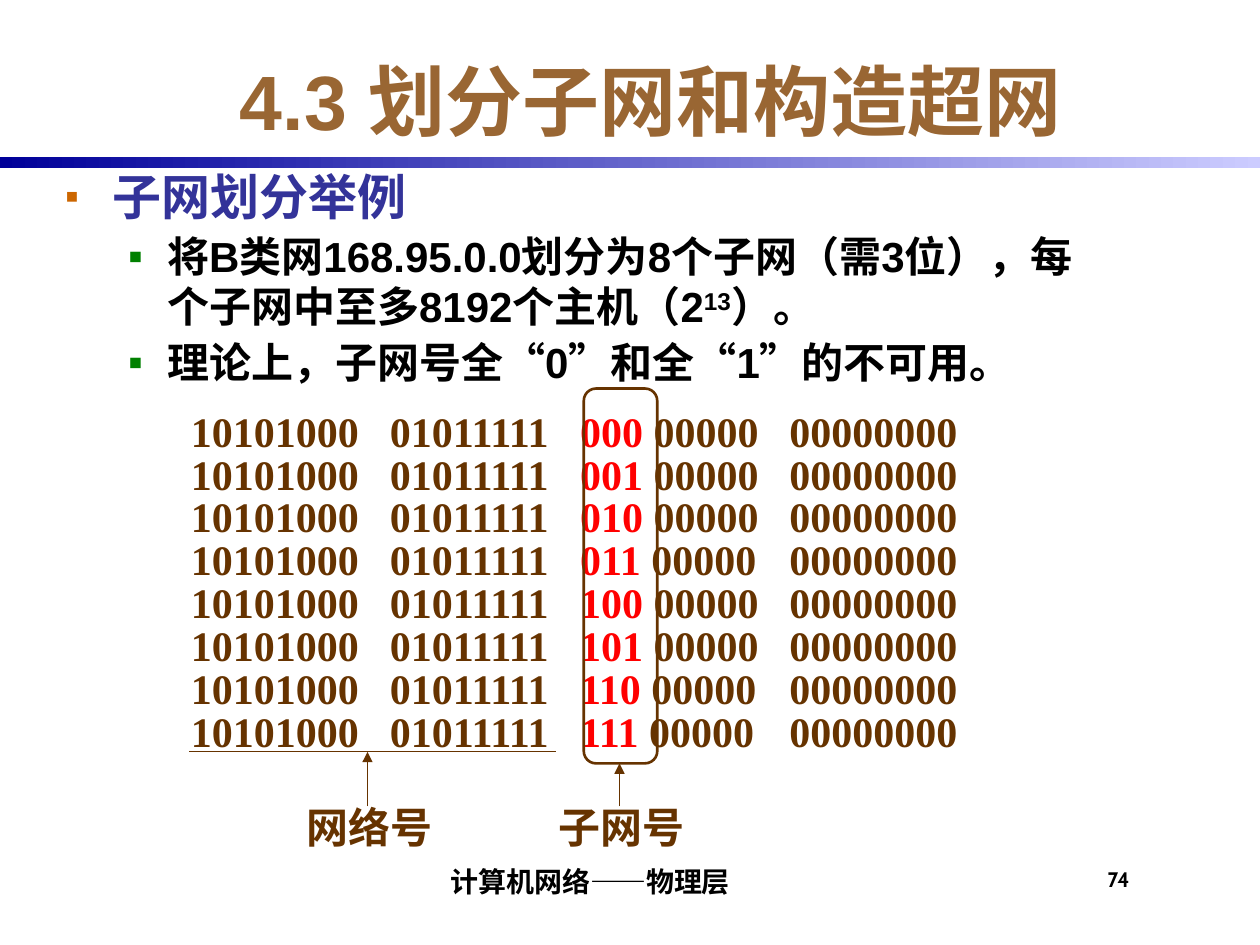
from lxml import etree
from pptx import Presentation
from pptx import util as u
from pptx.dml import color
from pptx.enum import shapes, text
from pptx.oxml import ns

COLUMNS, ROWS = 120, 90
WIDTH, HEIGHT = u.Inches(10), u.Inches(7.5)
BROWN, RED, BLACK = "663300", "FF0000", "000000"
INSETS = (0.1, 0.05, 0.1, 0.05)
BINARY = {"size": u.Pt(24), "name": "Times New Roman", "bold": True}
SMALL = {"name": "Cabin", "bold": True}
HEADING = {"name": "Arial", "bold": True}
LEVELS = [
    {"size": 28, "color": "333399", "bullet": "CC6600", "scale": 80,
     "margin": 0.38, "indent": -0.38, "before": 0},
    {"size": 24, "color": BLACK, "bullet": "008000", "scale": 100,
     "margin": 0.81, "indent": -0.31, "before": 3},
]


def rgb(value):
    return color.RGBColor.from_string(value)


def across(columns):
    return round(WIDTH * columns / COLUMNS)


def down(rows):
    return round(HEIGHT * rows / ROWS)


def area(left, top, width, height):
    return across(left), down(top), across(width), down(height)


def apply(target, values):
    for name, value in values.items():
        setattr(target, name, value)


def add_element(parent, tag, **attributes):
    return etree.SubElement(parent, ns.qn(tag), attributes)


def add_run(paragraph, words, tint, values):
    run = paragraph.add_run()
    run.text = words
    apply(run.font, values)
    run.font.color.rgb = rgb(tint)
    return run


def prepare_frame(shape, insets=INSETS, anchor=text.MSO_ANCHOR.TOP):
    frame = shape.text_frame
    sides = ("margin_left", "margin_top", "margin_right", "margin_bottom")
    apply(frame, dict(zip(sides, map(u.Inches, insets))))
    apply(frame, {"word_wrap": True, "auto_size": text.MSO_AUTO_SIZE.NONE,
                  "vertical_anchor": anchor})
    return frame


def place(shape, box):
    apply(shape, dict(zip(("left", "top", "width", "height"), area(*box))))


def add_label(slide, box, runs, values, align=text.PP_ALIGN.LEFT, tabs=(), **frame_values):
    shape = slide.shapes.add_textbox(*area(*box))
    paragraph = prepare_frame(shape, **frame_values).paragraphs[0]
    paragraph.alignment = align
    if tabs:
        tab_list = add_element(paragraph._p.get_or_add_pPr(), "a:tabLst")
        for stop in tabs:
            add_element(tab_list, "a:tab", pos=str(u.Inches(stop)), algn="l")
    for words, tint in runs:
        add_run(paragraph, words, tint, values)


def add_line(slide, start, end, arrow=False):
    line = slide.shapes.add_connector(
        shapes.MSO_CONNECTOR.STRAIGHT,
        across(start[0]), down(start[1]), across(end[0]), down(end[1]))
    line.line.color.rgb = rgb(BROWN)
    line.line.width = u.Pt(0.75)
    if arrow:
        add_element(line.line._get_or_add_ln(), "a:tailEnd", type="triangle")
    add_element(line._element.spPr, "a:effectLst")


def add_bar(slide):
    bar = slide.shapes.add_shape(shapes.MSO_SHAPE.RECTANGLE, *area(0, 15, COLUMNS, 1))
    bar.shadow.inherit = False
    bar.line.fill.background()
    bar.fill.gradient()
    bar.fill.gradient_angle = 180
    for stop, tint in zip(bar.fill.gradient_stops, ("CCCCFF", "000099")):
        stop.color.rgb = rgb(tint)


def add_frame(slide, box):
    frame = slide.shapes.add_shape(shapes.MSO_SHAPE.ROUNDED_RECTANGLE, *area(*box))
    frame.shadow.inherit = False
    frame.fill.background()
    frame.line.color.rgb = rgb(BROWN)
    frame.line.width = u.Pt(1.5)


def fill_title(slide, words):
    title = slide.shapes.title
    place(title, (11, 4, 102, 11))
    paragraph = prepare_frame(title, anchor=text.MSO_ANCHOR.MIDDLE).paragraphs[0]
    paragraph.alignment = text.PP_ALIGN.CENTER
    add_run(paragraph, words, "996633", {**HEADING, "size": u.Pt(44)})


def fill_body(slide, items):
    body = slide.placeholders[1]
    place(body, (5, 15.25, 102, 60))
    frame = prepare_frame(body)
    for index, (level, parts) in enumerate(items):
        style = LEVELS[level]
        paragraph = frame.add_paragraph() if index else frame.paragraphs[0]
        apply(paragraph, {"level": level, "space_before": u.Pt(style["before"])})
        properties = paragraph._p.get_or_add_pPr()
        properties.set("marL", str(u.Inches(style["margin"])))
        properties.set("indent", str(u.Inches(style["indent"])))
        tint = add_element(properties, "a:buClr")
        add_element(tint, "a:srgbClr", val=style["bullet"])
        add_element(properties, "a:buSzPct", val=str(style["scale"] * 1000))
        add_element(properties, "a:buChar", char="▪")
        for words, baseline in parts:
            run = add_run(paragraph, words, style["color"],
                          {**HEADING, "size": u.Pt(style["size"])})
            if baseline:
                run._r.get_or_add_rPr().set("baseline", str(baseline * 1000))


def add_addresses(slide):
    for subnet in range(8):
        runs = [("10101000\t01011111\t", BROWN), (f"{subnet:03b}", RED),
                (" 00000\t00000000", BROWN)]
        add_label(slide, (17, 38 + 4.08 * subnet, 78, 6), runs, BINARY,
                  tabs=(1.58, 3.09, 4.75))


def main():
    presentation = Presentation()
    apply(presentation, {"slide_width": WIDTH, "slide_height": HEIGHT})
    slide = presentation.slides.add_slide(presentation.slide_layouts[1])
    add_bar(slide)
    fill_title(slide, "4.3 划分子网和构造超网")
    fill_body(slide, [
        (0, [("子网划分举例", 0)]),
        (1, [("将B类网168.95.0.0划分为8个子网（需3位），每个子网中至多8192个主机（2", 0),
             ("13", 30), ("）。", 0)]),
        (1, [("理论上，子网号全“0”和全“1”的不可用。", 0)]),
    ])
    add_addresses(slide)
    add_frame(slide, (55.6, 37, 7, 35.7))
    add_line(slide, (18, 71.6), (53, 71.6))
    for words, left, tip in (("网络号", 28, 71.6), ("子网号", 52, 72.7)):
        add_label(slide, (left, 75.75, 15, 6), [(words, BROWN)], BINARY)
        add_line(slide, (left + 7, 76.8), (left + 7, tip), arrow=True)
    add_label(slide, (25, 81, 62, 5), [("计算机网络——物理层", BLACK)],
              {**SMALL, "size": u.Pt(16)}, align=text.PP_ALIGN.CENTER,
              insets=(0.04, 0, 0, 0.04), anchor=text.MSO_ANCHOR.BOTTOM)
    add_label(slide, (105, 82, 7, 5), [("74", BLACK)],
              {**SMALL, "size": u.Pt(12)}, insets=(0.04, 0.04, 0, 0))
    presentation.save("out.pptx")


if __name__ == "__main__":
    main()
